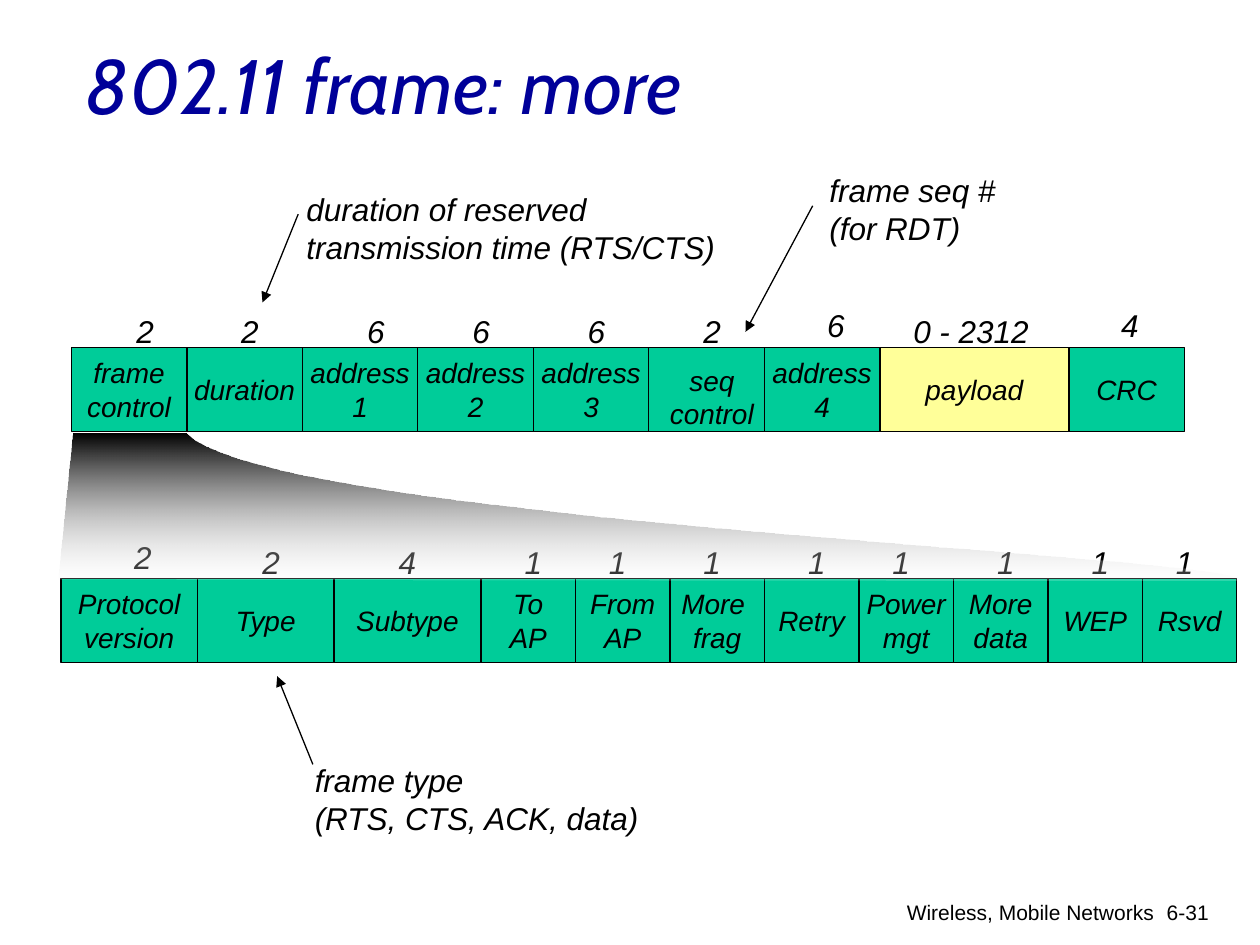
import pptx
import pptx.util
import pptx.dml.color
import pptx.enum.shapes
import pptx.enum.text
import pptx.oxml
import lxml.etree

RGB = pptx.dml.color.RGBColor
BLACK = RGB(0, 0, 0)
WHITE = RGB(255, 255, 255)
GREEN = RGB(0x00, 0xCC, 0x99)
YELLOW = RGB(0xFF, 0xFF, 0x99)
NAVY = RGB(0x00, 0x00, 0x99)
ALIGN = pptx.enum.text.PP_ALIGN
ANCHOR = pptx.enum.text.MSO_ANCHOR
KINDS = pptx.enum.shapes

# The slide is a grid of 120 columns by 90 rows
deck = pptx.Presentation()
deck.slide_width = pptx.util.Inches(10)
deck.slide_height = pptx.util.Inches(7.5)
unit = deck.slide_width / 120
slide = deck.slides.add_slide(deck.slide_layouts[6])
shapes = slide.shapes


def grid(*cells):
    return [round(cell * unit) for cell in cells]


def write(shape, text, size, align=ALIGN.LEFT, font="Arial",
          color=BLACK, slant=True, wrap=False):
    frame = shape.text_frame
    frame.word_wrap = wrap
    for row, line in enumerate(text.split("\n")):
        para = frame.add_paragraph() if row else frame.paragraphs[0]
        para.alignment = align
        run = para.add_run()
        run.text = line
        run.font.size = pptx.util.Pt(size)
        run.font.name = font
        run.font.italic = slant
        run.font.color.rgb = color


# Footer
for text, left, width in [("Wireless, Mobile Networks", 73.1, 38),
                          ("6-31", 107.4, 8.9)]:
    box = shapes.add_textbox(*grid(left, 85.1, width, 6))
    write(box, text, 12, ALIGN.RIGHT, slant=False, wrap=True)

# Field: name, columns, byte or bit count, indent of count, lift of count
frame = [("frame\ncontrol", 11, "2", 5, 0), ("duration", 11, "2", 4, 0),
         ("address\n1", 11, "6", 5, 0), ("address\n2", 11, "6", 4, 0),
         ("address\n3", 11, "6", 4, 0), ("", 11, "2", 4, 0),
         ("address\n4", 11, "6", 4.8, 0.6), ("payload", 18, "0 - 2312", 2, 0),
         ("CRC", 11, "4", 3.8, 0.6)]
control = [("Protocol\nversion", 13, "2", 5.8, 0.5), ("Type", 13, "2", 5, 0),
           ("Subtype", 14, "4", 5, 0), ("To\nAP", 9, "1", 3, 0),
           ("From\nAP", 9, "1", 2, 0), ("More \nfrag", 9, "1", 2, 0),
           ("Retry", 9, "1", 3, 0), ("Power\nmgt", 9, "1", 2, 0),
           ("More\ndata", 9, "1", 3, 0), ("WEP", 9, "1", 3, 0),
           ("Rsvd", 9, "1", 2, 0)]

# Both rows of fields with their counts above
for left, top, fields in [(6.8, 33.1, frame), (5.8, 55.1, control)]:
    for name, width, count, indent, lift in fields:
        cell = shapes.add_shape(KINDS.MSO_SHAPE.RECTANGLE,
                                *grid(left, top, width, 8))
        cell.shadow.inherit = False
        cell.fill.solid()
        cell.fill.fore_color.rgb = YELLOW if name == "payload" else GREEN
        cell.line.color.rgb = BLACK
        cell.line.width = pptx.util.Pt(0.75)
        if name:
            cell.text_frame.vertical_anchor = ANCHOR.MIDDLE
            write(cell, name, 16, ALIGN.CENTER)
        size = 4.1 if len(count) == 1 else 13.4
        label = shapes.add_textbox(
            *grid(left + indent, top - 3.95 - lift, size, 4.8))
        write(label, count, 18)
        left += width

label = shapes.add_textbox(*grid(62.6, 34, 10.4, 7.7))
write(label, "seq\ncontrol", 16, ALIGN.CENTER)

# Fan from the control field to its parts, with sampled curves
fan = [(7, 41.3), (5.6, 55.1), (118, 55.3)]
for bend in [[(120, 52.9), (25.9, 49.8), (17.8, 41.3)],
             [(8.8, 41.3), (9.2, 41.3), (7, 41.3)]]:
    knots = [fan[-1]] + bend
    for step in range(1, 41):
        t = step / 40
        parts = [(1 - t) ** 3, 3 * t * (1 - t) ** 2, 3 * t * t * (1 - t), t ** 3]
        fan.append(tuple(sum(part * knot[axis] for part, knot in zip(parts, knots))
                         for axis in (0, 1)))
points = [tuple(grid(*point)) for point in fan]
pen = shapes.build_freeform(*points[0])
pen.add_line_segments(points[1:], close=True)
shade = pen.convert_to_shape()
shade.shadow.inherit = False
shade.line.fill.background()
shade.fill.gradient()
shade.fill.gradient_angle = 270
for stop, color in zip(shade.fill.gradient_stops, (BLACK, WHITE)):
    stop.color.rgb = color
tint = shade.fill._xPr.findall(".//" + pptx.oxml.ns.qn("a:srgbClr"))[-1]
lxml.etree.SubElement(tint, pptx.oxml.ns.qn("a:alpha"), val="18000")

# Notes
for text, left, top, width in [
        ("duration of reserved \ntransmission time (RTS/CTS)", 28, 17.5, 41.8),
        ("frame seq #\n(for RDT)", 77.8, 15.7, 18.4),
        ("frame type\n(RTS, CTS, ACK, data)", 28.8, 71.9, 33.8)]:
    note = shapes.add_textbox(*grid(left, top, width, 8.5))
    write(note, text, 18)

# Arrows
for ends in [(28.4, 20.4, 25, 28.8), (77.4, 19.6, 71, 31.6),
             (29.8, 72.8, 26.4, 64.4)]:
    arrow = shapes.add_connector(KINDS.MSO_CONNECTOR.STRAIGHT, *grid(*ends))
    arrow.line.color.rgb = BLACK
    arrow.line.width = pptx.util.Pt(0.75)
    lxml.etree.SubElement(arrow.line._get_or_add_ln(),
                          pptx.oxml.ns.qn("a:tailEnd"), type="triangle")
    lxml.etree.SubElement(arrow._element.spPr, pptx.oxml.ns.qn("a:effectLst"))

# Title
title = shapes.add_textbox(*grid(7, 3, 102, 15))
write(title, "802.11 frame: more", 44, font="Cabin", color=NAVY, wrap=True)

deck.save("out.pptx")
